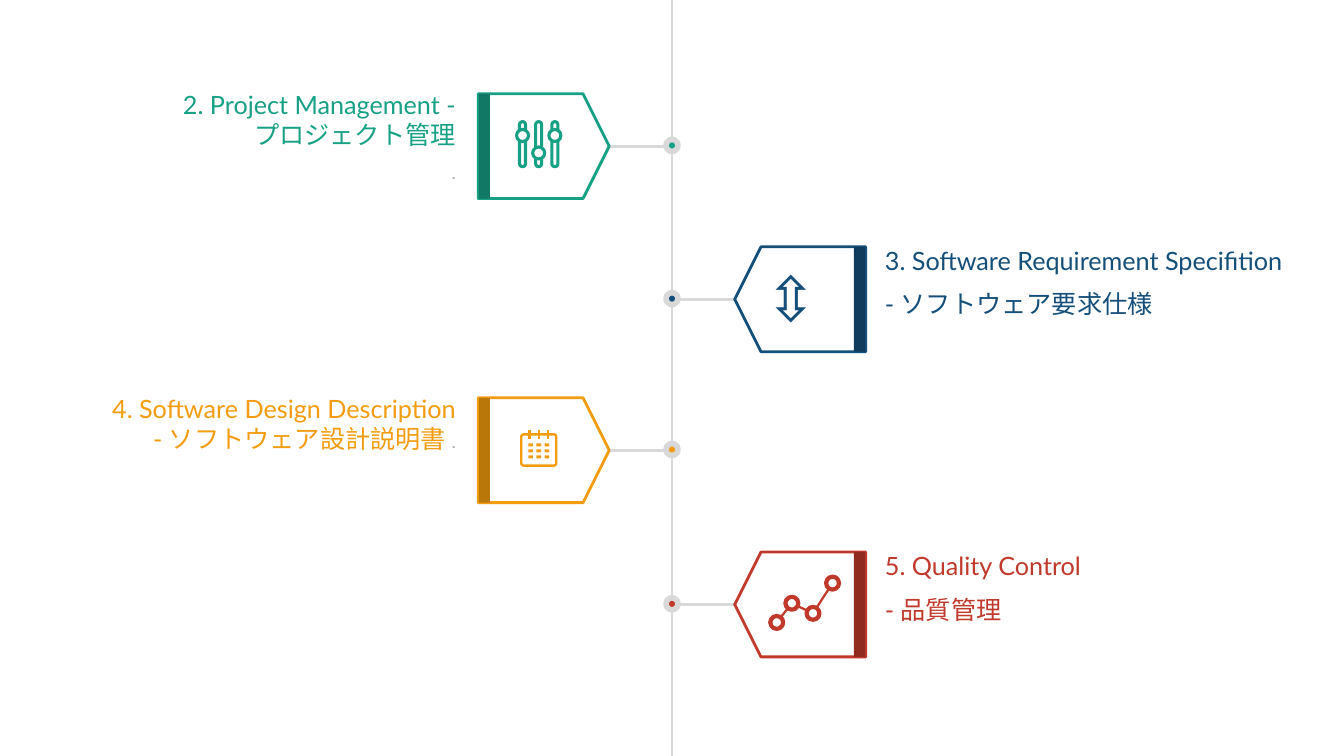
"""Build a four-step document timeline with tags on both sides of an axis."""
import dataclasses
import pptx
import pptx.dml.color
import pptx.enum.shapes
import pptx.enum.text
import pptx.oxml.xmlchemy
import pptx.util

Pt = pptx.util.Pt
Kind = pptx.enum.shapes.MSO_SHAPE
Align = pptx.enum.text.PP_ALIGN


@dataclasses.dataclass(frozen=True)
class Theme:
    """Colours, font and type sizes of the slide."""
    font: str = "Lato"
    head: int = 18
    small: int = 12
    glyph: int = 44
    white: str = "FFFFFF"
    rail: str = "D9D9D9"
    grey: str = "A6A6A6"
    green: str = "16A085"
    forest: str = "107864"
    blue: str = "144F7A"
    navy: str = "0F3B5C"
    amber: str = "F39C10"
    brown: str = "B97609"
    red: str = "C0392B"
    wine: str = "902B20"


LOOK = Theme()
WIDTH, HEIGHT = 960, 540
AXIS = WIDTH / 2


def rgb(code):
    """Turn a hex code into a colour."""
    return pptx.dml.color.RGBColor.from_string(code)


def shape(slide, kind, x, y, w, h, fill=None, line=None, weight=1):
    """Add a preset shape centred on x, y."""
    item = slide.shapes.add_shape(kind, Pt(x - w / 2), Pt(y - h / 2), Pt(w), Pt(h))
    item.shadow.inherit = False
    if fill:
        item.fill.solid()
        item.fill.fore_color.rgb = rgb(fill)
    else:
        item.fill.background()
    if line:
        item.line.color.rgb = rgb(line)
        item.line.width = Pt(weight)
    else:
        item.line.fill.background()
    return item


def stroke(slide, start, end, color=LOOK.rail, weight=2):
    """Add a straight line between two points."""
    item = slide.shapes.add_connector(
        pptx.enum.shapes.MSO_CONNECTOR.STRAIGHT, *map(Pt, start + end))
    item.line.color.rgb = rgb(color)
    item.line.width = Pt(weight)
    item._element.spPr.append(pptx.oxml.xmlchemy.OxmlElement("a:effectLst"))


def style(font, color, size):
    """Set the face, colour and size of a font."""
    font.name = LOOK.font
    font.size = Pt(size)
    font.color.rgb = rgb(color)


def text(slide, x, y, w, h, paras, align=Align.LEFT, wrap=True):
    """Add a text box; each paragraph is a list of (words, colour, size)."""
    frame = slide.shapes.add_textbox(Pt(x), Pt(y), Pt(w), Pt(h)).text_frame
    frame.word_wrap = wrap
    for i, runs in enumerate(paras):
        para = frame.add_paragraph() if i else frame.paragraphs[0]
        para.alignment = align
        if i:
            para.space_before = Pt(3.6)
        if len(paras) > 1:
            para.space_after = Pt(6)
        for words, color, size in runs:
            run = para.add_run()
            run.text = words
            style(para.font if len(runs) == 1 else run.font, color, size)


def rail(slide, stops):
    """Draw the vertical axis in pieces between the stops."""
    ends = [-5, *stops, HEIGHT + 5]
    for top, low in zip(ends, ends[1:]):
        stroke(slide, (AXIS, top + 5), (AXIS, low - 5))


def step(slide, y, side, color, dark):
    """Draw dot, link and tag; side is -1 for left and 1 for right."""
    shape(slide, Kind.OVAL, AXIS, y - 0.5, 8.6, 8.6, color, LOOK.rail, 4)
    stroke(slide, (AXIS + side * 4.6, y), (AXIS + side * 45.8, y))
    tag = shape(slide, Kind.FLOWCHART_OFFPAGE_CONNECTOR, AXIS + side * 91.6, y,
                74.9, 93.6, line=color, weight=2)
    tag.rotation = 90 * side % 360
    shape(slide, Kind.RECTANGLE, AXIS + side * 134, y, 8, 74.9, dark)


def mixer(slide, x, y, color):
    """Draw three sliders."""
    for i, knob in enumerate((-6.2, 6.3, -6.2)):
        mid = x + (i - 1) * 11.55
        stem = shape(slide, Kind.ROUNDED_RECTANGLE, mid, y, 4.3, 32.2, None, color, 2.2)
        stem.adjustments[0] = 0.5
        shape(slide, Kind.OVAL, mid, y + knob, 8.6, 8.6, LOOK.white, color, 2.2)


def diary(slide, x, y, color):
    """Draw a calendar page."""
    page = shape(slide, Kind.ROUNDED_RECTANGLE, x, y, 25, 22.3, None, color, 1.7)
    page.adjustments[0] = 0.08
    for i in (-1, 0, 1):
        stroke(slide, (x + i * 6.6, y - 14), (x + i * 6.6, y - 7.6), color, 1.7)
        for j in (-1, 0, 1):
            shape(slide, Kind.RECTANGLE, x + i * 5.8, y + 0.7 + j * 4.3, 3.3, 2.2, color)


def trend(slide, x, y, color):
    """Draw a line of four rings."""
    spots = [(x + a, y + b) for a, b in
             ((-20, 14), (-9.2, 0.3), (5.9, 7.5), (19.9, -14.1))]
    for start, end in zip(spots, spots[1:]):
        stroke(slide, start, end, color, 1.6)
    for a, b in spots:
        shape(slide, Kind.OVAL, a, b, 9.2, 9.2, LOOK.white, color, 3)


def main():
    """Build and save the slide."""
    deck = pptx.Presentation()
    deck.slide_width, deck.slide_height = Pt(WIDTH), Pt(HEIGHT)
    slide = deck.slides.add_slide(deck.slide_layouts[6])
    dot = (".", LOOK.grey, LOOK.small)
    steps = [
        (104.4, -1, LOOK.green, LOOK.forest, 209.5,
         [["2. Project Management - プロジェクト管理"], [dot]]),
        (213.8, 1, LOOK.blue, LOOK.navy, 311,
         [["3. Software Requirement Specifition"], ["- ソフトウェア要求仕様"]]),
        (321.6, -1, LOOK.amber, LOOK.brown, 270.7,
         [["4. Software Design Description - ソフトウェア設計説明書 ", dot]]),
        (431.8, 1, LOOK.red, LOOK.wine, 255.6,
         [["5. Quality Control"], ["- 品質管理"]]),
    ]
    rail(slide, [row[0] for row in steps])
    for y, side, color, dark, w, paras in steps:
        step(slide, y, side, color, dark)
        runs = [[(r, color, LOOK.head) if isinstance(r, str) else r for r in p]
                for p in paras]
        if side < 0:
            text(slide, 332.6 - w, y - 44.2, w, 79, runs, Align.RIGHT)
        else:
            text(slide, 625, y - 42.4, w, 79, runs)
    mixer(slide, 384.8, 103, LOOK.green)
    text(slide, 540, 182.2, 62, 60.5, [[("⇳", LOOK.blue, LOOK.glyph)]], wrap=False)
    diary(slide, 384.9, 321.4, LOOK.amber)
    trend(slide, 574.8, 430.6, LOOK.red)
    deck.save("out.pptx")


if __name__ == "__main__":
    main()
